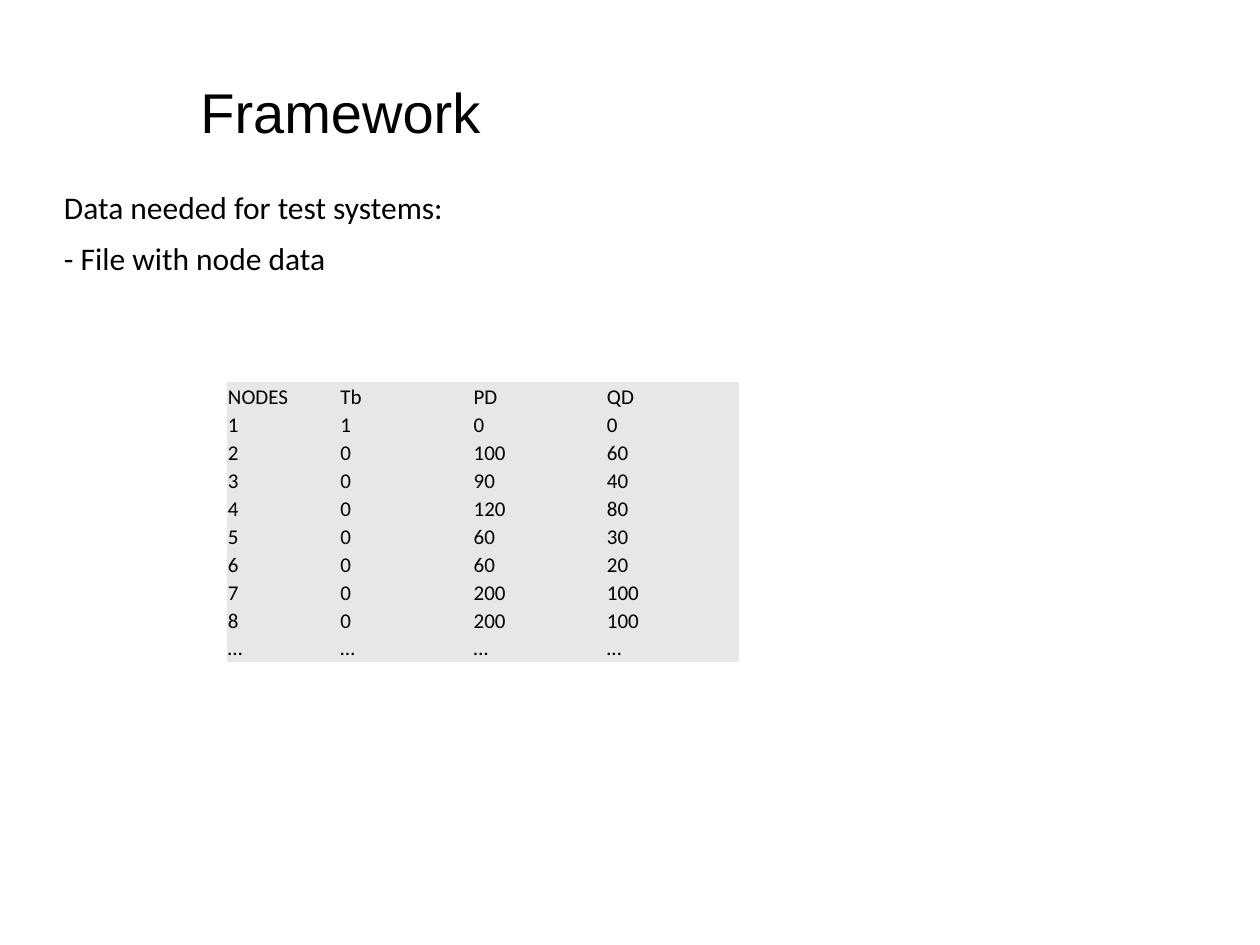
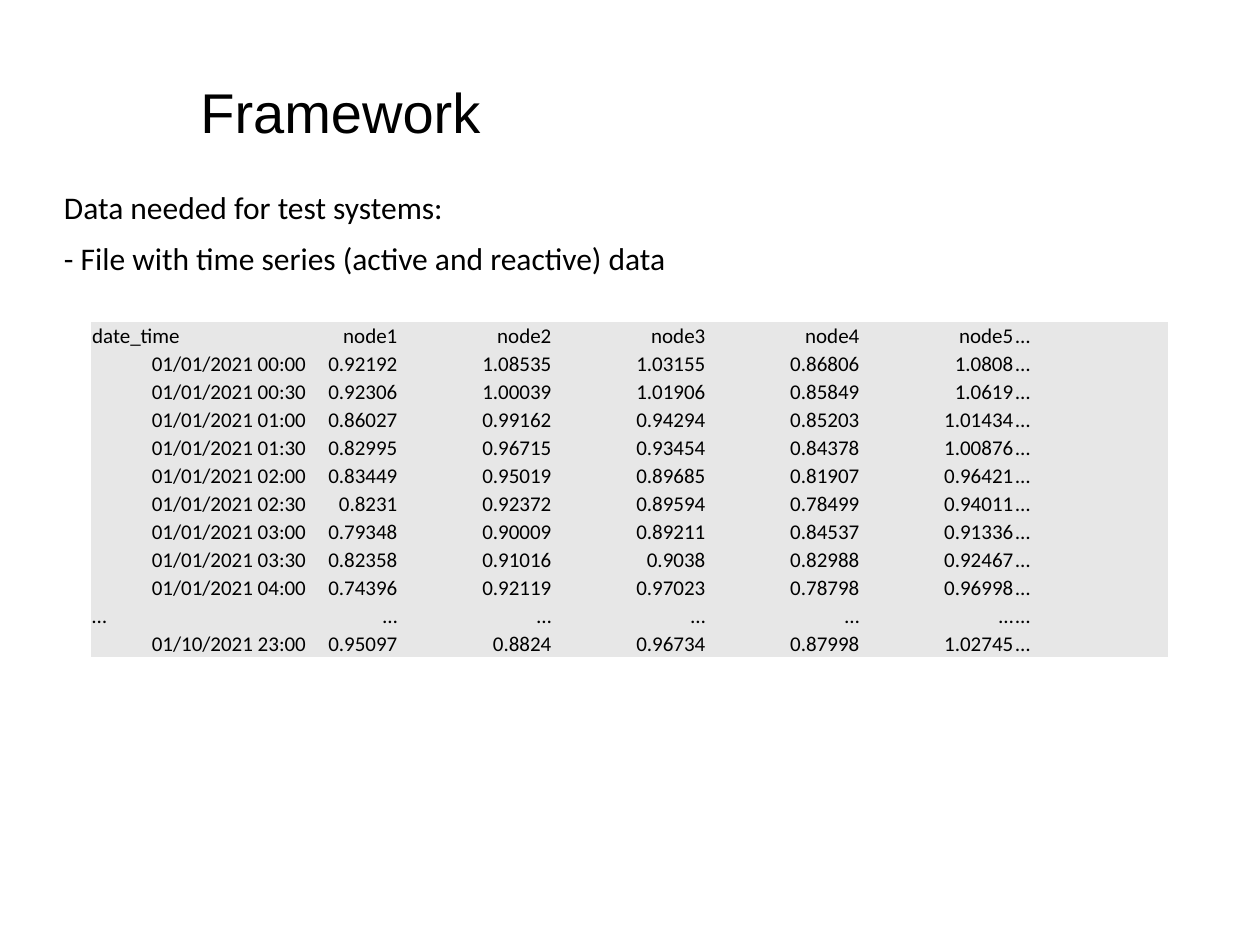
from pptx import Presentation
from pptx import util as u
from pptx.dml import color
from pptx.enum import text
from pptx.oxml import ns

# Content
TITLE = "Framework"
INTRO = "Data needed for test systems:"

NODE_ROWS = [
    ("NODES", "Tb", "PD", "QD"),
    ("1", "1", "0", "0"),
    ("2", "0", "100", "60"),
    ("3", "0", "90", "40"),
    ("4", "0", "120", "80"),
    ("5", "0", "60", "30"),
    ("6", "0", "60", "20"),
    ("7", "0", "200", "100"),
    ("8", "0", "200", "100"),
    ("…",) * 4,
]

SERIES_ROWS = [
    ("date_time", "node1", "node2", "node3", "node4", "node5", "…"),
    ("01/01/2021 00:00", "0.92192", "1.08535", "1.03155", "0.86806", "1.0808", "…"),
    ("01/01/2021 00:30", "0.92306", "1.00039", "1.01906", "0.85849", "1.0619", "…"),
    ("01/01/2021 01:00", "0.86027", "0.99162", "0.94294", "0.85203", "1.01434", "…"),
    ("01/01/2021 01:30", "0.82995", "0.96715", "0.93454", "0.84378", "1.00876", "…"),
    ("01/01/2021 02:00", "0.83449", "0.95019", "0.89685", "0.81907", "0.96421", "…"),
    ("01/01/2021 02:30", "0.8231", "0.92372", "0.89594", "0.78499", "0.94011", "…"),
    ("01/01/2021 03:00", "0.79348", "0.90009", "0.89211", "0.84537", "0.91336", "…"),
    ("01/01/2021 03:30", "0.82358", "0.91016", "0.9038", "0.82988", "0.92467", "…"),
    ("01/01/2021 04:00", "0.74396", "0.92119", "0.97023", "0.78798", "0.96998", "…"),
    ("…",) * 7,
    ("01/10/2021 23:00", "0.95097", "0.8824", "0.96734", "0.87998", "1.02745", "…"),
]

SLIDES = [
    {"item": "- File with node data", "item_width": 165.6,
     "rows": NODE_ROWS, "left": 129.6, "top": 218.2,
     "widths": [64.2] + [76.2] * 3, "numbers_right": False},
    {"item": "- File with time series (active and reactive) data", "item_width": 362.9,
     "rows": SERIES_ROWS, "left": 52, "top": 183.8,
     "widths": [123.6, 52.2] + [88] * 5, "numbers_right": True},
]

# Shared style
BLACK, TABLE_GREY = "000000", "E7E7E7"
TITLE_FONT, BODY_FONT = "Arial", "Calibri"
ROW_HEIGHT = 16
PLAIN_TABLE = "{2D5ABB26-0587-4C30-8999-92F81FD0307C}"


def rgb(value):
    return color.RGBColor.from_string(value)


def style(para, font, size):
    for span in para.runs:
        span.font.name = font
        span.font.size = u.Pt(size)
        span.font.color.rgb = rgb(BLACK)


def add_title(page):
    title = page.shapes.title
    title.left, title.top = u.Pt(107.3), u.Pt(48.2)
    title.width, title.height = u.Pt(564.5), u.Pt(35.3)
    frame = title.text_frame
    frame.text = TITLE
    frame.auto_size = text.MSO_AUTO_SIZE.NONE
    frame.vertical_anchor = text.MSO_ANCHOR.MIDDLE
    para = frame.paragraphs[0]
    para.alignment = text.PP_ALIGN.LEFT
    para.line_spacing = 0.9
    style(para, TITLE_FONT, 32)


def add_line(page, words, top, width, wrap):
    box = page.shapes.add_textbox(u.Pt(29.5), u.Pt(top), u.Pt(width), u.Pt(29))
    frame = box.text_frame
    frame.text = words
    frame.word_wrap = wrap
    frame.auto_size = text.MSO_AUTO_SIZE.SHAPE_TO_FIT_TEXT
    style(frame.paragraphs[0], BODY_FONT, 18)


def is_right(words, column, last):
    return 0 < column < last or (column == 0 and words[0].isdigit())


def add_data_table(page, rows, left, top, widths, numbers_right):
    frame = page.shapes.add_table(len(rows), len(widths), u.Pt(left), u.Pt(top),
                                  u.Pt(sum(widths)), u.Pt(ROW_HEIGHT * len(rows)))
    table = frame.table
    table.first_row = table.horz_banding = False
    frame._element.find(".//" + ns.qn("a:tableStyleId")).text = PLAIN_TABLE
    for column, width in zip(table.columns, widths):
        column.width = u.Pt(width)
    for r, row in enumerate(rows):
        table.rows[r].height = u.Pt(ROW_HEIGHT)
        for c, words in enumerate(row):
            cell = table.cell(r, c)
            cell.text = words
            cell.fill.solid()
            cell.fill.fore_color.rgb = rgb(TABLE_GREY)
            cell.vertical_anchor = text.MSO_ANCHOR.BOTTOM
            cell.margin_left = cell.margin_right = cell.margin_top = u.Pt(0.7)
            cell.margin_bottom = 0
            para = cell.text_frame.paragraphs[0]
            if numbers_right and is_right(words, c, len(widths) - 1):
                para.alignment = text.PP_ALIGN.RIGHT
            style(para, BODY_FONT, 12)


def main():
    deck = Presentation()
    deck.slide_width, deck.slide_height = u.Pt(720), u.Pt(540)
    for part in SLIDES:
        page = deck.slides.add_slide(deck.slide_layouts[5])
        add_title(page)
        add_line(page, INTRO, 103.9, 393, True)
        add_line(page, part["item"], 133.1, part["item_width"], False)
        add_data_table(page, part["rows"], part["left"], part["top"],
                       part["widths"], part["numbers_right"])
    deck.save("out.pptx")


if __name__ == "__main__":
    main()
